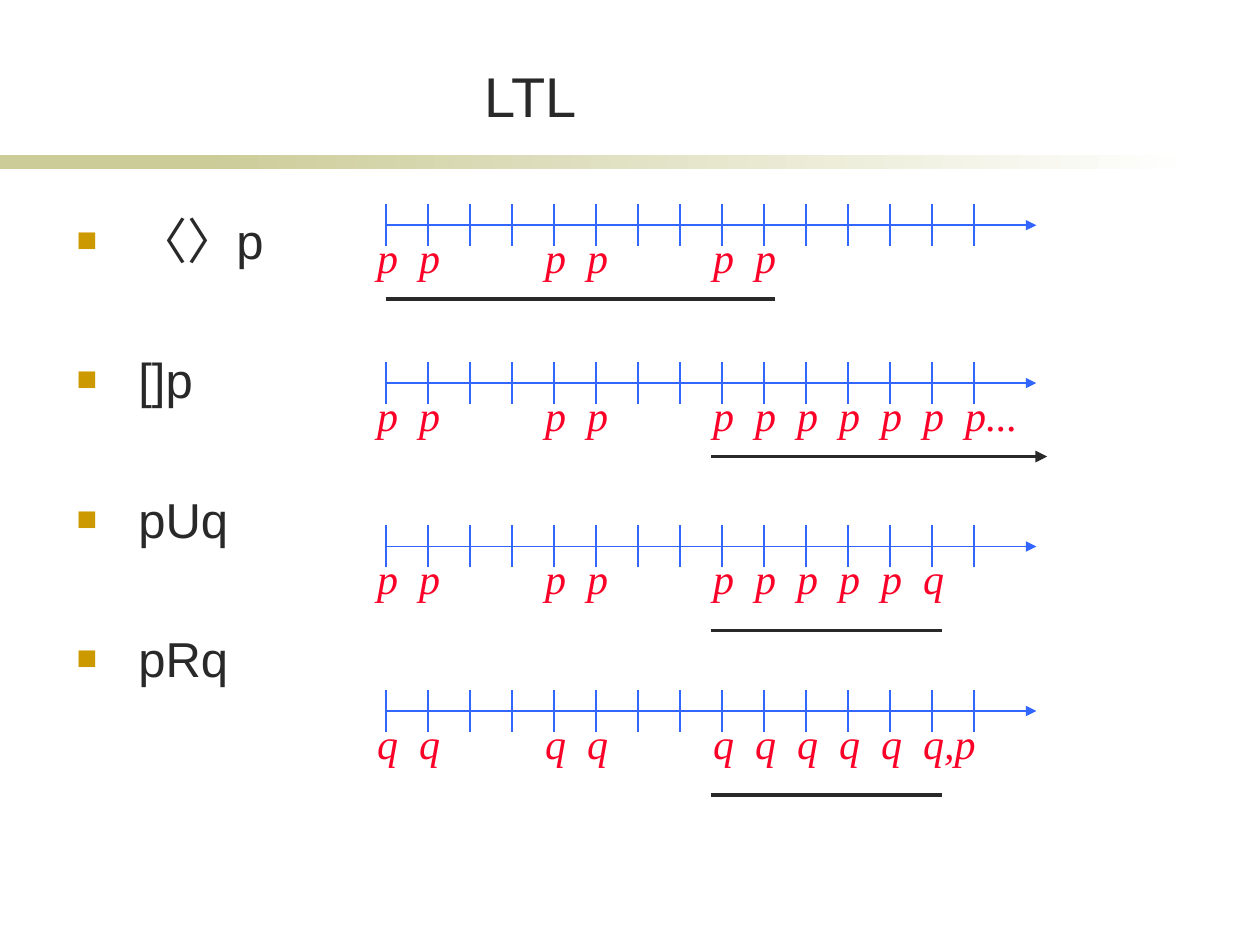
from lxml import etree
from pptx import Presentation
from pptx import util as u
from pptx.dml.color import RGBColor
from pptx.enum import shapes, text
from pptx.oxml.ns import qn

COLORS = {"ink": "292929", "axis": "3366FF", "label": "FC0128",
          "bullet": "CC9900", "band": "CCCC99", "paper": "FFFFFF"}
ORIGIN, STEP, TICKS, AXIS_LENGTH, TICK_HALF = 220.4, 24, 15, 371.8, 12
FORMULAS = ["〈〉p", "[]p", "pUq", "pRq"]
TIMELINES = [
    (128.7, "p p - - p p - - p p", (0, 222.5, 42), False),
    (218.9, "p p - - p p - - p p p p p p p...", (186, 378, 42), True),
    (312.3, "p p - - p p - - p p p p p q", (186, 318, 48), False),
    (406.3, "q q - - q q - - q q q q q q,p", (186, 318, 48), False),
]


def rgb(name):
    return RGBColor.from_string(COLORS[name])


class Sketch:
    """Draws the elements of one slide in a shared style."""

    def __init__(self, slide):
        self.slide = slide
        self.target = slide.shapes

    def start_group(self):
        self.target = self.slide.shapes.add_group_shape().shapes

    def font(self, paragraph, size, color, face="Arial", italic=False):
        font = paragraph.font
        font.name, font.size, font.italic = face, u.Pt(size), italic
        font.color.rgb = rgb(color)

    def box(self, left, top, width, height, wrap=True):
        frame = self.target.add_textbox(*map(u.Pt, (left, top, width, height))).text_frame
        frame.word_wrap = wrap
        return frame

    def band(self, left, top, width, height, fade=False):
        strip = self.target.add_shape(
            shapes.MSO_SHAPE.RECTANGLE, *map(u.Pt, (left, top, width, height)))
        strip.shadow.inherit = False
        strip.line.fill.background()
        if fade:
            strip.fill.gradient()
            strip.fill.gradient_angle = 0
            for stop, color in zip(strip.fill.gradient_stops, ("band", "paper")):
                stop.color.rgb = rgb(color)
        else:
            strip.fill.solid()
            strip.fill.fore_color.rgb = rgb("band")

    def title(self, words, left, top, width, height):
        frame = self.box(left, top, width, height)
        frame.vertical_anchor = text.MSO_ANCHOR.BOTTOM
        heading = frame.paragraphs[0]
        heading.text = words
        heading.alignment = text.PP_ALIGN.CENTER
        self.font(heading, 32, "ink")

    def bullets(self, items, left, top, width, height):
        frame = self.box(left, top, width, height)
        for index, item in enumerate(items):
            entry = frame.add_paragraph() if index else frame.paragraphs[0]
            entry.text = item
            entry.space_before = u.Pt(46.1 if index else 5.6)
            properties = entry._p.get_or_add_pPr()
            properties.set("marL", str(u.Pt(35.3)))
            properties.set("indent", str(-u.Pt(35.3)))
            tint = etree.SubElement(properties, qn("a:buClr"))
            etree.SubElement(tint, qn("a:srgbClr"), val=COLORS["bullet"])
            etree.SubElement(properties, qn("a:buSzPct"), val="70000")
            etree.SubElement(properties, qn("a:buFont"), typeface="Arial")
            etree.SubElement(properties, qn("a:buChar"), char="■")
            self.font(entry, 28, "ink")

    def line(self, x1, y1, x2, y2, color, width, arrow=False):
        stroke = self.target.add_connector(
            shapes.MSO_CONNECTOR.STRAIGHT, *map(u.Pt, (x1, y1, x2, y2)))
        stroke.line.color.rgb = rgb(color)
        stroke.line.width = u.Pt(width)
        if arrow:
            etree.SubElement(stroke.line._get_or_add_ln(), qn("a:tailEnd"), type="triangle")
        etree.SubElement(stroke._element.spPr, qn("a:effectLst"))

    def label(self, words, left, top):
        frame = self.box(left, top, 26.6 if len(words) == 1 else 44.6, 36, wrap=False)
        frame.auto_size = text.MSO_AUTO_SIZE.SHAPE_TO_FIT_TEXT
        state = frame.paragraphs[0]
        state.text = words
        self.font(state, 24, "label", "Times New Roman", True)

    def timeline(self, y, states, span, endless):
        self.start_group()
        self.line(ORIGIN, y, ORIGIN + AXIS_LENGTH, y, "axis", 1, arrow=True)
        for tick in range(TICKS):
            x = ORIGIN + tick * STEP
            self.line(x, y - TICK_HALF, x, y + TICK_HALF, "axis", 1)
        for index, state in enumerate(states.split()):
            if state != "-":
                self.label(state, ORIGIN - 12 + index * STEP, y)
        start, end, drop = span
        self.line(ORIGIN + start, y + drop, ORIGIN + end, y + drop, "ink", 2.25, endless)


def main():
    deck = Presentation()
    deck.slide_width, deck.slide_height = u.Pt(720), u.Pt(540)
    sketch = Sketch(deck.slides.add_slide(deck.slide_layouts[6]))
    sketch.band(0, 88.6, 168, 8)
    sketch.band(114, 88.6, 570, 8, fade=True)
    sketch.title("LTL", 82, 31.7, 442, 45.4)
    sketch.bullets(FORMULAS, 36.7, 116.6, 641, 345.6)
    for row in TIMELINES:
        sketch.timeline(*row)
    deck.save("out.pptx")


if __name__ == "__main__":
    main()
